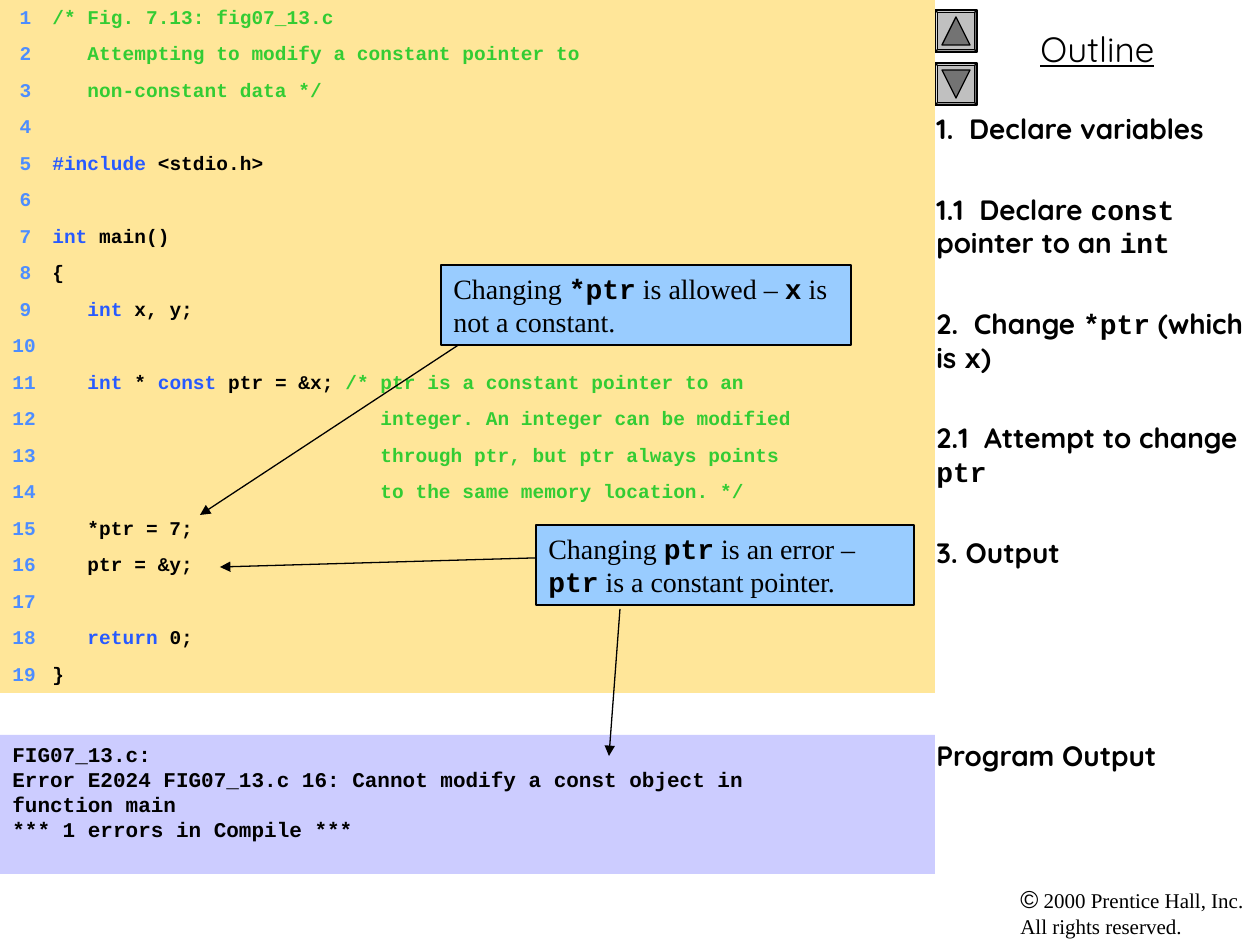
from dataclasses import dataclass
from typing import NamedTuple, Optional

from lxml.etree import SubElement
from pptx import Presentation
from pptx.dml.color import RGBColor
from pptx.enum.shapes import MSO_CONNECTOR, MSO_SHAPE
from pptx.enum.text import MSO_ANCHOR, PP_ALIGN
from pptx.oxml.ns import qn
from pptx.util import Emu, Pt

PX_PER_INCH = 126


def px(length: int) -> Emu:
    return Emu(round(length * 914400 / PX_PER_INCH))


class Style(NamedTuple):
    font: str
    size: float
    color: str = "000000"
    bold: bool = False
    underline: bool = False


@dataclass(frozen=True)
class Theme:
    code_fill: str = "FFE699"
    output_fill: str = "CCCCFF"
    callout_fill: str = "99CCFF"
    button_fill: str = "C0C0C0"
    arrow_fill: str = "737373"
    ink: str = "000000"
    line_width: float = 0.75
    number: Style = Style("Courier New", 11.1, "4D8DFF", True)
    comment: Style = Style("Courier New", 11.1, "33CC33", True)
    keyword: Style = Style("Courier New", 11.1, "275AFF", True)
    code: Style = Style("Courier New", 11.1, bold=True)
    output: Style = Style("Courier New", 12, bold=True)
    title: Style = Style("Quicksand", 20, underline=True)
    topic: Style = Style("Quicksand", 16, bold=True)
    topic_code: Style = Style("Courier New", 16, bold=True)
    remark: Style = Style("Times New Roman", 16)
    symbol: Style = Style("Arial", 14)
    rights: Style = Style("Times New Roman", 12)


THEME = Theme()


class Span(NamedTuple):
    text: str
    style: Style


class Box(NamedTuple):
    left: int
    top: int
    width: int
    height: int


class Topic(NamedTuple):
    spans: list[Span]
    space_before: float = 27


class Callout(NamedTuple):
    box: Box
    spans: list[Span]


class Arrow(NamedTuple):
    start: tuple[int, int]
    end: tuple[int, int]


def comment(text: str) -> Span:
    return Span(text, THEME.comment)


def keyword(text: str) -> Span:
    return Span(text, THEME.keyword)


def code(text: str) -> Span:
    return Span(text, THEME.code)


def topic(text: str) -> Span:
    return Span(text, THEME.topic)


def topic_code(text: str) -> Span:
    return Span(text, THEME.topic_code)


def remark(text: str) -> Span:
    return Span(text, THEME.remark)


# Content
INDENT = "   "
COMMENT_INDENT = " " * 28
CODE_LINES = [
    [comment("/* Fig. 7.13: fig07_13.c")],
    [comment(INDENT + "Attempting to modify a constant pointer to")],
    [comment(INDENT + "non-constant data */")],
    [],
    [keyword("#include"), code(" <stdio.h>")],
    [],
    [keyword("int"), code(" main()")],
    [code("{")],
    [keyword(INDENT + "int"), code(" x, y;")],
    [],
    [keyword(INDENT + "int"), code(" * "), keyword("const"), code(" ptr = &x; "),
     comment("/* ptr is a constant pointer to an")],
    [comment(COMMENT_INDENT + "integer. An integer can be modified")],
    [comment(COMMENT_INDENT + "through ptr, but ptr always points")],
    [comment(COMMENT_INDENT + "to the same memory location. */")],
    [code(INDENT + "*ptr = 7;")],
    [code(INDENT + "ptr = &y;")],
    [],
    [keyword(INDENT + "return"), code(" 0;")],
    [code("}")],
]
OUTPUT_LINES = [
    "FIG07_13.c:",
    "Error E2024 FIG07_13.c 16: Cannot modify a const object in",
    "function main",
    "*** 1 errors in Compile ***",
]
TOPICS = [
    Topic([topic("1.  Declare variables")], 0),
    Topic([topic("1.1  Declare "), topic_code("const"), topic(" pointer to an "), topic_code("int")]),
    Topic([topic("2.  Change "), topic_code("*ptr"), topic(" (which is "), topic_code("x"), topic(")")]),
    Topic([topic("2.1  Attempt to change "), topic_code("ptr")]),
    Topic([topic("3. Output")]),
    Topic([topic("Program Output")], 97),
]
CALLOUTS = [
    Callout(Box(441, 265, 410, 80),
            [remark("Changing "), topic_code("*ptr"), remark(" is allowed – "),
             topic_code("x"), remark(" is not a constant.")]),
    Callout(Box(536, 525, 378, 80),
            [remark("Changing "), topic_code("ptr"), remark(" is an error – "),
             topic_code("ptr"), remark(" is a constant pointer.")]),
]
ARROWS = [Arrow((504, 315), (200, 515)), Arrow((567, 557), (220, 567)), Arrow((620, 609), (609, 756))]

# Layout
CODE_WIDTH, CODE_HEIGHT = 935, 693
NUMBER_TABS = [(19, "r"), (40, "l")]


def write(frame, paragraphs: list[list[Span]], *, align=PP_ALIGN.LEFT, anchor=MSO_ANCHOR.TOP,
          wrap: bool = True, line_spacing: Optional[float] = None,
          spaces: Optional[list[float]] = None, tabs=()) -> None:
    frame.word_wrap, frame.vertical_anchor = wrap, anchor
    for index, spans in enumerate(paragraphs):
        paragraph = frame.add_paragraph() if index else frame.paragraphs[0]
        if tabs:
            tab_list = SubElement(paragraph._p.get_or_add_pPr(), qn("a:tabLst"))
            for position, side in tabs:
                SubElement(tab_list, qn("a:tab"), pos=str(px(position)), algn=side)
        paragraph.alignment = align
        if line_spacing:
            paragraph.line_spacing = line_spacing
        if spaces and spaces[index]:
            paragraph.space_before = Pt(spaces[index])
        for text, style in spans:
            for part, line in enumerate(text.split("\n")):
                if part:
                    paragraph.add_line_break()
                run = paragraph.add_run()
                run.text = line
                font = run.font
                font.name, font.size = style.font, Pt(style.size)
                font.bold, font.underline = style.bold, style.underline
                font.color.rgb = RGBColor.from_string(style.color)


def draw_shape(slide, kind: MSO_SHAPE, box: Box, fill: str, outlined: bool = False):
    shape = slide.shapes.add_shape(kind, *map(px, box))
    shape.shadow.inherit = False
    shape.fill.solid()
    shape.fill.fore_color.rgb = RGBColor.from_string(fill)
    if outlined:
        shape.line.color.rgb = RGBColor.from_string(THEME.ink)
        shape.line.width = Pt(THEME.line_width)
    else:
        shape.line.fill.background()
    return shape


def draw_label(slide, box: Box, paragraphs: list[list[Span]], **text_format) -> None:
    write(slide.shapes.add_textbox(*map(px, box)).text_frame, paragraphs, **text_format)


def draw_button(slide, top: int, rotation: int) -> None:
    bevel = draw_shape(slide, MSO_SHAPE.BEVEL, Box(935, top, 42, 42), THEME.button_fill, True)
    bevel.adjustments[0] = 0.06
    triangle = draw_shape(slide, MSO_SHAPE.ISOSCELES_TRIANGLE, Box(942, top + 7, 28, 28), THEME.arrow_fill, True)
    triangle.rotation = rotation


def draw_arrow(slide, arrow: Arrow) -> None:
    line = slide.shapes.add_connector(MSO_CONNECTOR.STRAIGHT, *map(px, arrow.start + arrow.end))
    line.line.color.rgb = RGBColor.from_string(THEME.ink)
    line.line.width = Pt(THEME.line_width)
    SubElement(line.line._get_or_add_ln(), qn("a:tailEnd"), type="triangle")
    SubElement(line._element.spPr, qn("a:effectLst"))


def main() -> None:
    deck = Presentation()
    deck.slide_width, deck.slide_height = px(1260), px(945)
    slide = deck.slides.add_slide(deck.slide_layouts[6])

    # Outline column
    draw_label(slide, Box(935, 21, 325, 55), [[Span("Outline", THEME.title)]], align=PP_ALIGN.CENTER)
    for top, rotation in ((10, 0), (63, 180)):
        draw_button(slide, top, rotation)
    draw_label(slide, Box(1008, 878, 252, 67), [
        [Span("©", THEME.symbol), Span(" 2000 Prentice Hall, Inc.\nAll rights reserved.", THEME.rights)],
    ], wrap=False)
    draw_label(slide, Box(924, 105, 336, 840), [item.spans for item in TOPICS],
               spaces=[item.space_before for item in TOPICS])

    # Numbered code lines
    edges = [round(CODE_HEIGHT * i / len(CODE_LINES)) for i in range(len(CODE_LINES) + 1)]
    for number, spans in enumerate(CODE_LINES, 1):
        top, bottom = edges[number - 1:number + 1]
        row = draw_shape(slide, MSO_SHAPE.RECTANGLE, Box(0, top, CODE_WIDTH, bottom - top), THEME.code_fill)
        write(row.text_frame, [[Span(f"\t{number}\t", THEME.number), *spans]],
              anchor=MSO_ANCHOR.MIDDLE, line_spacing=0.9, tabs=NUMBER_TABS)

    # Program output
    output = draw_shape(slide, MSO_SHAPE.RECTANGLE, Box(0, 735, CODE_WIDTH, 139), THEME.output_fill)
    write(output.text_frame, [[Span(line, THEME.output)] for line in OUTPUT_LINES])

    # Callouts over their arrows
    for arrow in ARROWS:
        draw_arrow(slide, arrow)
    for box, spans in CALLOUTS:
        write(draw_shape(slide, MSO_SHAPE.RECTANGLE, box, THEME.callout_fill, True).text_frame, [spans])

    deck.save("out.pptx")


if __name__ == "__main__":
    main()
